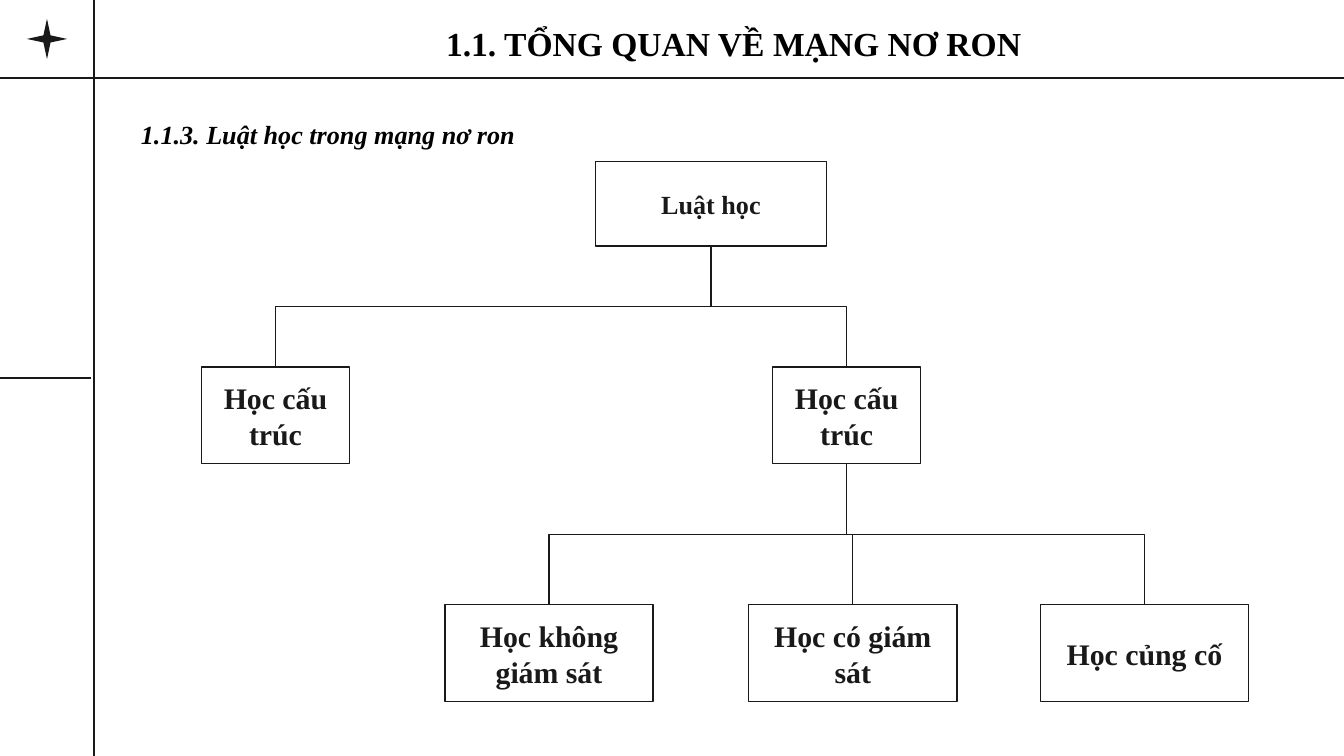
from lxml.etree import SubElement
from pptx import Presentation
from pptx.dml.color import RGBColor
from pptx.enum.shapes import MSO_CONNECTOR, MSO_SHAPE
from pptx.enum.text import MSO_ANCHOR, MSO_AUTO_SIZE, PP_ALIGN
from pptx.oxml.ns import qn
from pptx.util import Inches, Pt

INK = RGBColor(0x19, 0x19, 0x19)
BLACK = RGBColor(0, 0, 0)
FONT = "Times New Roman"
SLIDE_WIDTH = 10
SLIDE_HEIGHT = SLIDE_WIDTH * 9 / 16
BOTTOM, TOP = 2, 0


def style_font(paragraph, size, color, italic=False):
    """Format every run of a paragraph in the bold slide font."""
    for run in paragraph.runs:
        run.font.name = FONT
        run.font.size = Pt(size)
        run.font.bold = True
        run.font.italic = italic
        run.font.color.rgb = color


def center_text(frame, text, size, color):
    """Fill a text frame with centred text and even margins."""
    frame.word_wrap = True
    frame.auto_size = MSO_AUTO_SIZE.NONE
    frame.vertical_anchor = MSO_ANCHOR.MIDDLE
    frame.margin_left = frame.margin_right = Inches(0.1)
    frame.margin_top = frame.margin_bottom = Inches(0.1)
    frame.text = text
    frame.paragraphs[0].alignment = PP_ALIGN.CENTER
    style_font(frame.paragraphs[0], size, color)


def add_line(slide, kind, x1, y1, x2, y2):
    """Add a thin connector without a shadow."""
    line = slide.shapes.add_connector(
        kind, Inches(x1), Inches(y1), Inches(x2), Inches(y2))
    line.line.color.rgb = INK
    line.line.width = Pt(0.75)
    SubElement(line._element.spPr, qn("a:effectLst"))
    return line


def add_frame(slide, left, top, width, height):
    """Draw the ruled margins and the corner star."""
    rail, header, middle = left + 0.7, top + 0.58, top + height / 2
    for ends in (
        (left - 0.02, middle, rail - 0.02, middle),
        (left - 0.04, header, left + width + 0.04, header),
        (rail, top - 0.03, rail, top + height + 0.04),
    ):
        add_line(slide, MSO_CONNECTOR.STRAIGHT, *ends)
    star = slide.shapes.add_shape(
        MSO_SHAPE.STAR_4_POINT, Inches(left + 0.2), Inches(top + 0.14),
        Inches(0.3), Inches(0.3))
    star.adjustments[0] = 0.125
    star.shadow.inherit = False
    star.fill.solid()
    star.fill.fore_color.rgb = INK
    star.line.fill.background()


def add_headings(slide, left, top, width, height):
    """Place the title and the section heading below it."""
    title = slide.shapes.title
    title.left, title.top = Inches(left + 1.88), Inches(top)
    title.width, title.height = Inches(width), Inches(height)
    center_text(title.text_frame, "1.1. TỔNG QUAN VỀ MẠNG NƠ RON", 18, BLACK)

    section = slide.shapes.add_textbox(
        Inches(left), Inches(top + 0.7), Inches(3.01), Inches(0.41))
    section.text_frame.word_wrap = False
    section.text_frame.auto_size = MSO_AUTO_SIZE.SHAPE_TO_FIT_TEXT
    section.text_frame.text = "1.1.3. Luật học trong mạng nơ ron"
    heading = section.text_frame.paragraphs[0]
    heading.alignment = PP_ALIGN.JUSTIFY
    heading.line_spacing = 1.3
    style_font(heading, 14, BLACK, italic=True)


def add_node(slide, left, top, width, height, text, size=16):
    """Add one outlined box of the tree."""
    node = slide.shapes.add_shape(
        MSO_SHAPE.RECTANGLE, Inches(left), Inches(top),
        Inches(width), Inches(height))
    node.shadow.inherit = False
    node.fill.background()
    node.line.color.rgb = INK
    node.line.width = Pt(0.75)
    center_text(node.text_frame, text, size, INK)
    return node


def join(slide, child, parent):
    """Link a child's top to its parent's bottom with a vertical elbow."""
    link = add_line(slide, MSO_CONNECTOR.ELBOW, 0, 0, 1, 1)
    link.begin_connect(child, TOP)
    link.end_connect(parent, BOTTOM)
    child_x = child.left + child.width // 2
    parent_x = parent.left + parent.width // 2
    parent_y = parent.top + parent.height
    rise, run = child.top - parent_y, abs(parent_x - child_x)
    link.left = (child_x + parent_x - rise) // 2
    link.top = (child.top + parent_y - run) // 2
    link.width, link.height = rise, run
    to_right = child_x < parent_x
    xfrm = link._element.spPr.xfrm
    xfrm.rot = 90 if to_right else 270
    xfrm.flipH = to_right
    xfrm.flipV = True


def add_tree(slide, left, top):
    """Build the tree of learning rules from its top-left corner."""
    root = add_node(slide, left + 2.93, top, 1.72, 0.63, "Luật học", 14)
    branches = [
        add_node(slide, left + x, top + 1.53, 1.1, 0.72, "Học cấu trúc")
        for x in (0, 4.25)]
    leaves = [
        add_node(slide, left + x, top + 3.3, 1.55, 0.72, text)
        for x, text in ((1.81, "Học không giám sát"),
                        (4.07, "Học có giám sát"),
                        (6.24, "Học củng cố"))]
    for branch in branches:
        join(slide, branch, root)
    for leaf in leaves:
        join(slide, leaf, branches[-1])


def main():
    """Create the slide and save it."""
    deck = Presentation()
    deck.slide_width = Inches(SLIDE_WIDTH)
    deck.slide_height = Inches(SLIDE_HEIGHT)
    slide = deck.slides.add_slide(deck.slide_layouts[5])
    add_frame(slide, 0, 0, SLIDE_WIDTH, SLIDE_HEIGHT)
    add_headings(slide, 0.95, 0.06, 5.26, 0.52)
    add_tree(slide, 1.5, 1.2)
    deck.save("out.pptx")


if __name__ == "__main__":
    main()
